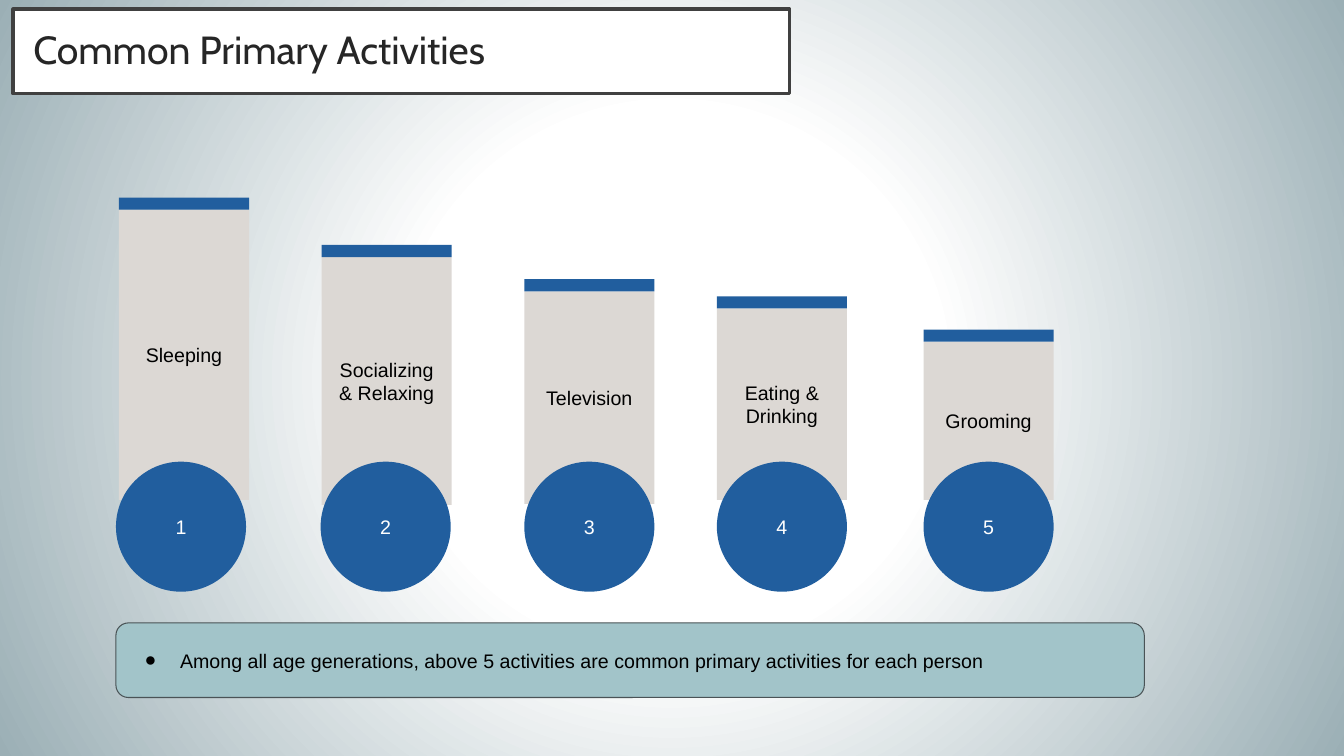
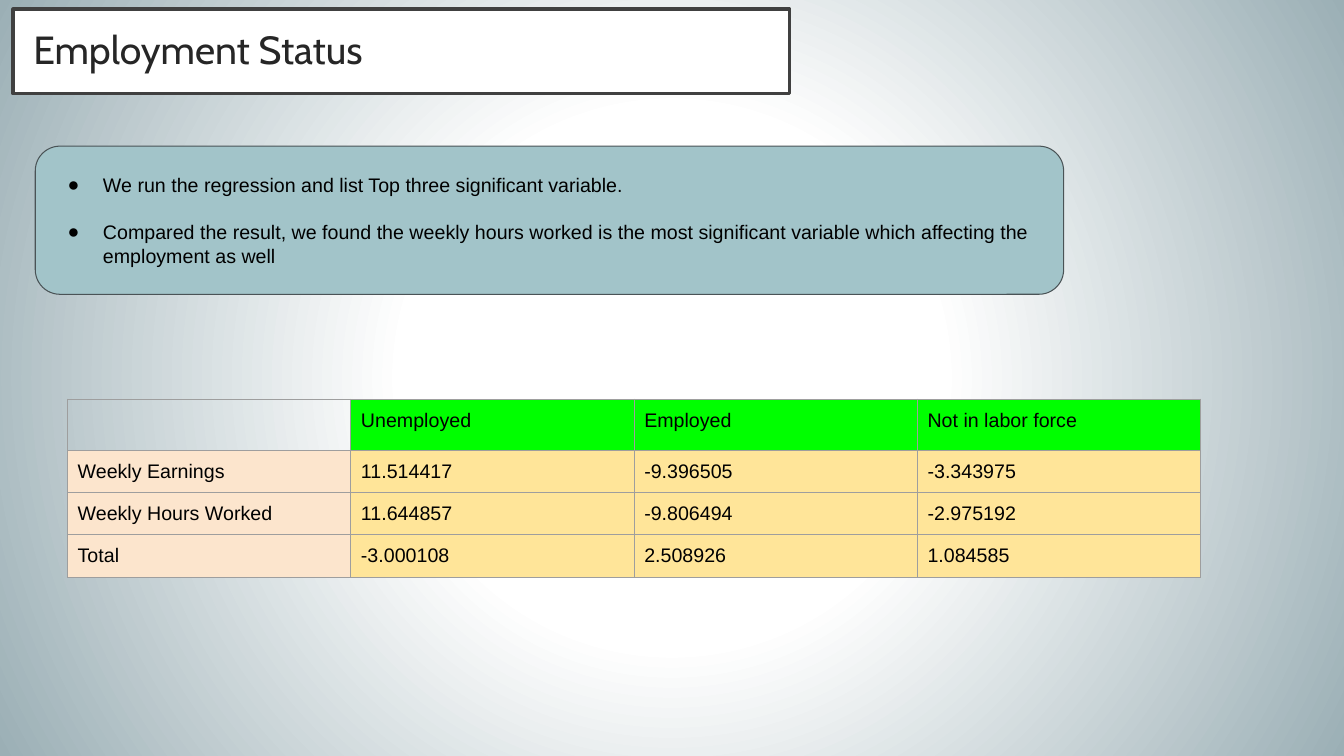
from dataclasses import dataclass

from pptx import Presentation
from pptx.dml.color import RGBColor
from pptx.enum.shapes import MSO_SHAPE as Preset
from pptx.enum.text import MSO_ANCHOR as Anchor, MSO_AUTO_SIZE as AutoSize, PP_ALIGN as Align
from pptx.oxml import parse_xml
from pptx.oxml.ns import nsdecls
from pptx.presentation import Presentation as Deck
from pptx.shapes.autoshape import Shape
from pptx.slide import Slide
from pptx.table import _Cell as Cell
from pptx.text.text import TextFrame, _Paragraph as Paragraph
from pptx.util import Inches, Pt

WHITE, BLACK = "FFFFFF", "000000"
BACKDROP_EDGE = "9BAFB5"
TITLE_LINE, TITLE_TEXT = "404040", "262626"
STEM, ACCENT = "DCD8D4", "215E9E"
NOTE_FILL, NOTE_LINE = "A2C4C9", "4A5356"
HEADER_FILL, LABEL_FILL, VALUE_FILL = "00FF00", "FCE5CD", "FFE599"
GRID_LINE = "9E9E9E"
TITLE_FONT, TEXT_FONT = "Cabin", "Arial"
TEXT_SIZE = 14

COLUMN_WIDTH = 1.29
CAP_HEIGHT = 0.12
BADGE_TOP = 4.58


@dataclass(frozen=True)
class Box:
    left: float
    top: float
    width: float
    height: float


@dataclass(frozen=True)
class Activity:
    label: str
    left: float
    top: float
    bottom: float
    badge_left: float


TITLE_BOX = Box(0.13, 0.09, 7.7, 0.84)

ACTIVITIES = [
    Activity("Sleeping", 1.18, 1.96, 4.96, 1.15),
    Activity("Socializing & Relaxing", 3.19, 2.43, 5.01, 3.18),
    Activity("Television", 5.2, 2.77, 5.0, 5.2),
    Activity("Eating & Drinking", 7.11, 2.94, 4.96, 7.11),
    Activity("Grooming", 9.16, 3.27, 4.96, 9.16),
]

STATUS_ROWS = [
    ["", "Unemployed", "Employed", "Not in labor force"],
    ["Weekly Earnings", "11.514417", "-9.396505", "-3.343975"],
    ["Weekly Hours Worked", "11.644857", "-9.806494", "-2.975192"],
    ["Total", "-3.000108", "2.508926", "1.084585"],
]


def rgb(code: str) -> RGBColor:
    return RGBColor.from_string(code)


def place(shape: Shape, box: Box) -> None:
    shape.left, shape.top = Inches(box.left), Inches(box.top)
    shape.width, shape.height = Inches(box.width), Inches(box.height)


def paint(shape: Shape, fill: str, line: str = "", weight: float = 0) -> None:
    shape.fill.solid()
    shape.fill.fore_color.rgb = rgb(fill)
    if line:
        shape.line.color.rgb = rgb(line)
        shape.line.width = Pt(weight)
    else:
        shape.line.fill.background()


def set_insets(target: TextFrame | Cell, across: float, down: float) -> None:
    target.margin_left = target.margin_right = Inches(across)
    target.margin_top = target.margin_bottom = Inches(down)


def set_frame(frame: TextFrame, across: float, down: float) -> None:
    frame.word_wrap = True
    frame.auto_size = AutoSize.NONE
    frame.vertical_anchor = Anchor.MIDDLE
    set_insets(frame, across, down)


def add_run(paragraph: Paragraph, text: str, color: str = BLACK,
            font: str = TEXT_FONT, size: float = TEXT_SIZE) -> None:
    run = paragraph.add_run()
    run.text = text
    run.font.name = font
    run.font.size = Pt(size)
    run.font.color.rgb = rgb(color)


def set_backdrop(deck: Deck) -> None:
    fill = deck.slide_master.background.fill
    fill.solid()
    stops = [(0, WHITE), (35, WHITE), (100, BACKDROP_EDGE)]
    stop_xml = "".join(
        f'<a:gs pos="{position * 1000}"><a:srgbClr val="{color}"/></a:gs>'
        for position, color in stops
    )
    gradient = parse_xml(
        f'<a:gradFill {nsdecls("a")} rotWithShape="1"><a:gsLst>{stop_xml}</a:gsLst>'
        '<a:path path="circle"><a:fillToRect l="50000" t="50000" r="50000" b="50000"/>'
        "</a:path></a:gradFill>"
    )
    solid = deck.slide_master.element.cSld.xpath("./p:bg/p:bgPr/a:solidFill")[0]
    solid.getparent().replace(solid, gradient)


def add_titled_slide(deck: Deck, heading: str) -> Slide:
    slide = deck.slides.add_slide(deck.slide_layouts[1])
    title = slide.shapes.title
    place(title, TITLE_BOX)
    paint(title, WHITE, TITLE_LINE, 2.5)
    set_frame(title.text_frame, 0.2, 0.2)
    paragraph = title.text_frame.paragraphs[0]
    paragraph.alignment = Align.LEFT
    paragraph.line_spacing = 0.9
    add_run(paragraph, heading, TITLE_TEXT, TITLE_FONT, 28)
    return slide


def add_bullet(paragraph: Paragraph, text: str, gap: float) -> None:
    paragraph.alignment = Align.LEFT
    paragraph.space_before = Pt(gap)
    properties = paragraph._p.get_or_add_pPr()
    properties.set("marL", str(Inches(0.5)))
    properties.set("indent", str(Inches(-0.35)))
    for markup in (
        f'<a:buClr {nsdecls("a")}><a:srgbClr val="{BLACK}"/></a:buClr>',
        f'<a:buFont {nsdecls("a")} typeface="{TEXT_FONT}"/>',
        f'<a:buChar {nsdecls("a")} char="●"/>',
    ):
        properties.append(parse_xml(markup))
    add_run(paragraph, text)


def fill_note(slide: Slide, box: Box, points: list[str]) -> None:
    note = slide.placeholders[1]
    place(note, box)
    note.element.spPr.append(parse_xml(
        f'<a:prstGeom {nsdecls("a")} prst="roundRect"><a:avLst>'
        '<a:gd name="adj" fmla="val 16667"/></a:avLst></a:prstGeom>'
    ))
    paint(note, NOTE_FILL, NOTE_LINE, 0.75)
    frame = note.text_frame
    set_frame(frame, 0.1, 0.1)
    for index, point in enumerate(points):
        paragraph = frame.add_paragraph() if index else frame.paragraphs[0]
        add_bullet(paragraph, point, 17 if index else 0)


def add_block(slide: Slide, preset: Preset, box: Box, fill: str,
              label: str = "", color: str = BLACK) -> None:
    block = slide.shapes.add_shape(
        preset, Inches(box.left), Inches(box.top), Inches(box.width), Inches(box.height)
    )
    block.shadow.inherit = False
    paint(block, fill)
    if label:
        set_frame(block.text_frame, 0.1, 0.05)
        paragraph = block.text_frame.paragraphs[0]
        paragraph.alignment = Align.CENTER
        add_run(paragraph, label, color)


def add_activity(slide: Slide, rank: int, activity: Activity) -> None:
    stem_top = activity.top + CAP_HEIGHT
    stem = Box(activity.left, stem_top, COLUMN_WIDTH, activity.bottom - stem_top)
    cap = Box(activity.left, activity.top, COLUMN_WIDTH, CAP_HEIGHT)
    badge = Box(activity.badge_left, BADGE_TOP, COLUMN_WIDTH, COLUMN_WIDTH)
    add_block(slide, Preset.RECTANGLE, stem, STEM, activity.label)
    add_block(slide, Preset.RECTANGLE, cap, ACCENT)
    add_block(slide, Preset.OVAL, badge, ACCENT, str(rank), WHITE)


def set_borders(cell: Cell) -> None:
    properties = cell._tc.get_or_add_tcPr()
    for side in ("lnL", "lnR", "lnT", "lnB"):
        properties.append(parse_xml(
            f'<a:{side} {nsdecls("a")} w="{Pt(0.75)}"><a:solidFill>'
            f'<a:srgbClr val="{GRID_LINE}"/></a:solidFill></a:{side}>'
        ))


def fill_cell(cell: Cell, text: str, fill: str) -> None:
    set_borders(cell)
    set_insets(cell, 0.1, 0.1)
    if text:
        cell.fill.solid()
        cell.fill.fore_color.rgb = rgb(fill)
        add_run(cell.text_frame.paragraphs[0], text)
    else:
        cell.fill.background()


def add_status_table(slide: Slide) -> None:
    column_width = 2.81
    row_heights = [0.48, 0.42, 0.42, 0.42]
    table = slide.shapes.add_table(
        len(STATUS_ROWS), len(STATUS_ROWS[0]), Inches(0.67), Inches(3.96),
        Inches(column_width * len(STATUS_ROWS[0])), Inches(sum(row_heights)),
    ).table
    table.first_row = table.horz_banding = False
    for column in table.columns:
        column.width = Inches(column_width)
    for row_index, (height, texts) in enumerate(zip(row_heights, STATUS_ROWS)):
        table.rows[row_index].height = Inches(height)
        for column_index, text in enumerate(texts):
            body_fill = VALUE_FILL if column_index else LABEL_FILL
            fill = body_fill if row_index else HEADER_FILL
            fill_cell(table.cell(row_index, column_index), text, fill)


def build_activities(deck: Deck) -> None:
    slide = add_titled_slide(deck, "Common Primary Activities")
    for rank, activity in enumerate(ACTIVITIES, start=1):
        add_activity(slide, rank, activity)
    fill_note(slide, Box(1.15, 6.18, 10.2, 0.74), [
        "Among all age generations, above 5 activities are common primary activities "
        "for each person",
    ])


def build_employment(deck: Deck) -> None:
    slide = add_titled_slide(deck, "Employment Status")
    add_status_table(slide)
    fill_note(slide, Box(0.35, 1.45, 10.2, 1.47), [
        "We run the regression and list Top three significant variable.",
        "Compared the result, we found the weekly hours worked is the most significant "
        "variable which affecting the employment as well",
    ])


def main() -> None:
    deck = Presentation()
    deck.slide_width, deck.slide_height = Inches(13.33), Inches(7.5)
    set_backdrop(deck)
    build_activities(deck)
    build_employment(deck)
    deck.save("out.pptx")


if __name__ == "__main__":
    main()
